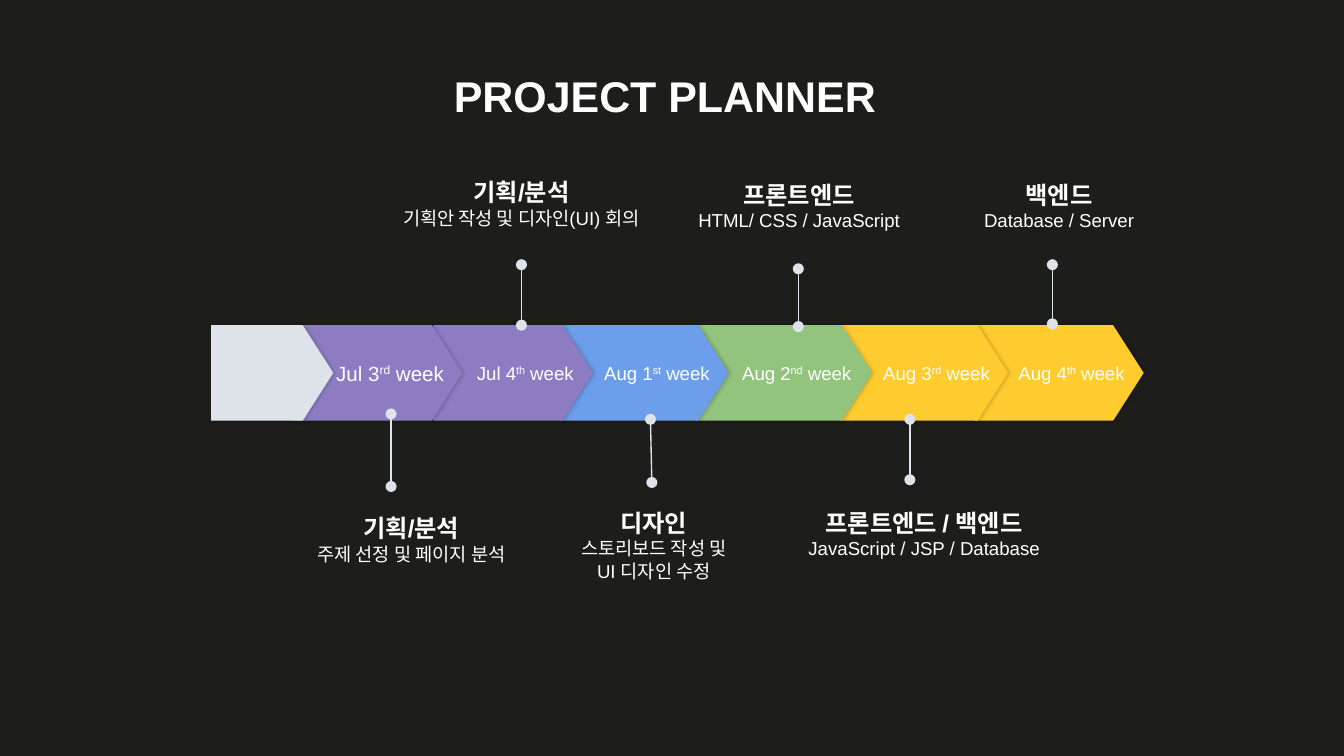
from lxml.etree import SubElement
from pptx import Presentation
from pptx.dml.color import RGBColor
from pptx.enum.shapes import MSO_CONNECTOR, MSO_SHAPE
from pptx.enum.text import MSO_ANCHOR, PP_ALIGN
from pptx.oxml import parse_xml
from pptx.oxml.ns import nsdecls, qn
from pptx.util import Inches, Pt

CELL = 0.1
COLS, ROWS = 100, 56.25
BAND_TOP, BAND_HEIGHT, TIP = 24.2, 7.1, 0.32
DARK, WHITE, PALE = "1D1D1B", "FFFFFF", "DEE3E9"
PURPLE, BLUE, GREEN, YELLOW = "8E7CC3", "6D9EEB", "93C47D", "FFCC2F"

TITLE = ("PROJECT PLANNER", (12.5, 2.9, 74, 7.1))
WEEKS = [
    (15.7, 24.8, PALE, None, 10),
    (21.8, 34.4, PURPLE, ("Jul 3", "rd", " week"), 11),
    (32.2, 44.1, PURPLE, ("Jul 4", "th", " week"), 10),
    (41.7, 54.2, BLUE, ("Aug 1", "st", " week"), 10),
    (51.8, 64.9, GREEN, ("Aug 2", "nd", " week"), 10),
    (62.5, 75, YELLOW, ("Aug 3", "rd", " week"), 10),
    (72.5, 85.1, YELLOW, ("Aug 4", "th", " week"), 10),
]
PINS = [
    (38.8, 24.2, 38.8, 19.7),
    (59.4, 24.3, 59.4, 20),
    (78.3, 24.1, 78.3, 19.7),
    (29.1, 36.2, 29.1, 30.8),
    (48.5, 35.9, 48.4, 31.2),
    (67.7, 35.7, 67.7, 31.2),
]
NOTES = [
    ((22.4, 38.2, 16.4, 5.8), "기획/분석", ["주제 선정 및 페이지 분석"]),
    ((28, 13.2, 21.6, 5.5), "기획/분석", ["기획안 작성 및 디자인(UI) 회의"]),
    ((39.8, 37.8, 17.7, 5.8), "디자인", ["스토리보드 작성 및", "UI 디자인 수정"]),
    ((49.5, 13.4, 19.9, 5), "프론트엔드", ["HTML/ CSS / JavaScript"]),
    ((57.5, 37.8, 22.5, 5), "프론트엔드 / 백엔드", ["JavaScript / JSP / Database"]),
    ((70.6, 13.4, 16.4, 5), "백엔드", ["Database / Server"]),
]


def rgb(value):
    """Turn a hex string into a colour."""
    return RGBColor.from_string(value)


def grid(*cells):
    """Turn grid cells into lengths."""
    return [Inches(cell * CELL) for cell in cells]


def style(p, size, bold=False):
    """Centre a paragraph and format its runs."""
    p.alignment = PP_ALIGN.CENTER
    for r in p.runs:
        r.font.name, r.font.size, r.font.bold = "Arial", Pt(size), bold
        r.font.color.rgb = rgb(WHITE)


def set_frame(tf, anchor, left=0, inset=0):
    """Set the wrapping, anchor and insets of a text frame."""
    tf.word_wrap = True
    tf.vertical_anchor = anchor
    tf.margin_left = Inches(left or inset)
    tf.margin_top = tf.margin_right = tf.margin_bottom = Inches(inset)


def add_week(s, left, right, color, label, size):
    """Add one arrow of the timeline with its week label."""
    sp = s.shapes.add_shape(
        MSO_SHAPE.PENTAGON, *grid(left, BAND_TOP, right - left, BAND_HEIGHT))
    sp.adjustments[0] = TIP
    sp.fill.solid()
    sp.fill.fore_color.rgb = rgb(color)
    sp.line.fill.background()
    sp.shadow.inherit = False
    effects = sp._element.spPr.find(qn("a:effectLst"))
    effects.append(parse_xml(
        f'<a:outerShdw {nsdecls("a")} blurRad="{Pt(2.2)}" dist="{Pt(0.8)}" dir="0">'
        '<a:srgbClr val="000000"><a:alpha val="20000"/></a:srgbClr></a:outerShdw>'))
    if label:
        tf = sp.text_frame
        set_frame(tf, MSO_ANCHOR.MIDDLE, left=0.3)
        p = tf.paragraphs[0]
        for text in label:
            p.add_run().text = text
        style(p, size)
        p.runs[1]._r.get_or_add_rPr().set("baseline", "30000")


def add_pin(s, ends):
    """Add a line with a dot at each end."""
    pin = s.shapes.add_connector(MSO_CONNECTOR.STRAIGHT, *grid(*ends))
    pin.line.color.rgb = rgb(PALE)
    pin.line.width = Pt(0.75)
    ln = pin.line._get_or_add_ln()
    for tag in ("a:headEnd", "a:tailEnd"):
        SubElement(ln, qn(tag), type="oval")
    SubElement(pin._element.spPr, qn("a:effectLst"))


def add_text(s, box, lines, sizes, anchor=MSO_ANCHOR.TOP, inset=0):
    """Add a text box whose first line is a bold heading."""
    tf = s.shapes.add_textbox(*grid(*box)).text_frame
    set_frame(tf, anchor, inset=inset)
    tf.text = "\n".join(lines)
    for i, p in enumerate(tf.paragraphs):
        style(p, sizes[min(i, 1)], bold=i == 0)


def main():
    """Build the project planner slide."""
    prs = Presentation()
    prs.slide_width, prs.slide_height = grid(COLS, ROWS)
    s = prs.slides.add_slide(prs.slide_layouts[6])
    s.background.fill.solid()
    s.background.fill.fore_color.rgb = rgb(DARK)
    title, box = TITLE
    add_text(s, box, [title], [23], MSO_ANCHOR.BOTTOM, inset=0.1)
    for week in reversed(WEEKS):
        add_week(s, *week)
    for ends in PINS:
        add_pin(s, ends)
    for box, heading, details in NOTES:
        add_text(s, box, [heading, *details], [13, 10])
    prs.save("out.pptx")


if __name__ == "__main__":
    main()
